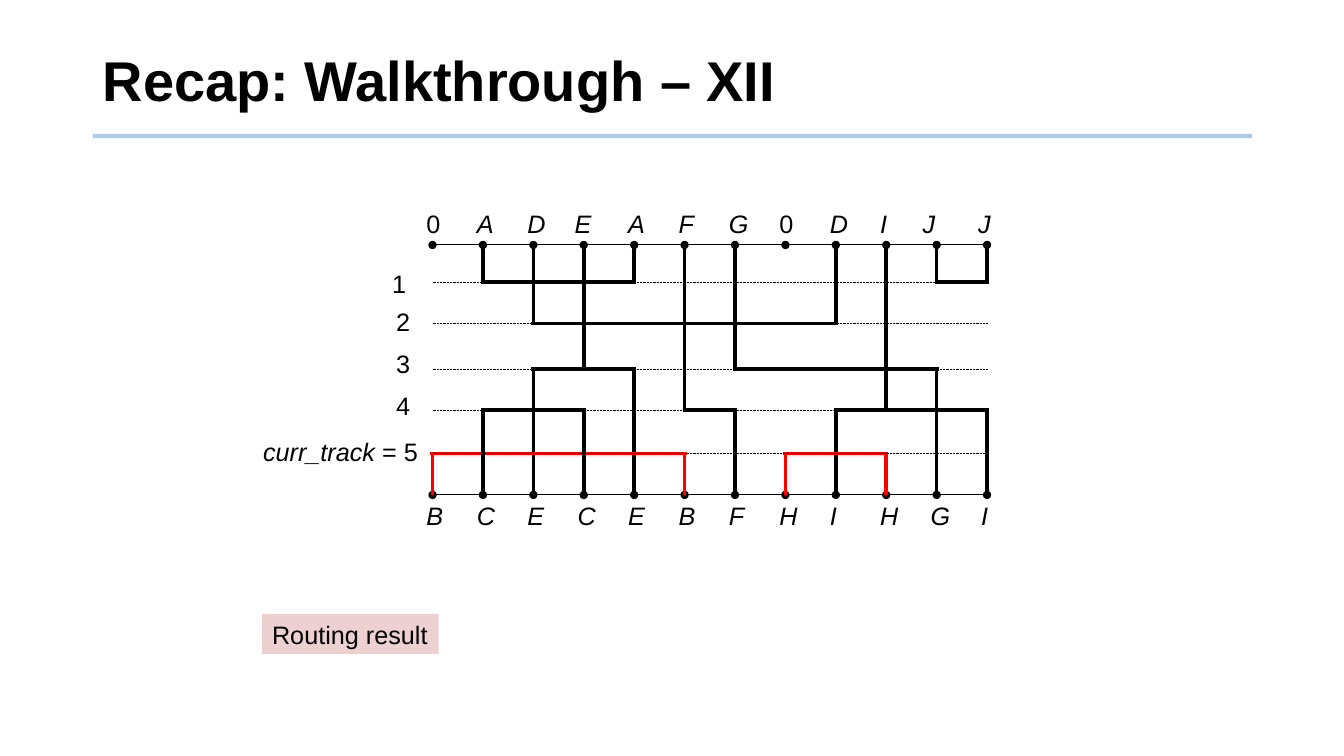
from lxml import etree
from pptx import Presentation
from pptx.dml.color import RGBColor
from pptx.enum.dml import MSO_LINE
from pptx.enum.shapes import MSO_CONNECTOR, MSO_SHAPE
from pptx.enum.text import MSO_ANCHOR, PP_ALIGN
from pptx.oxml.ns import qn
from pptx.util import Inches, Pt

# Content
TITLE = "Recap: Walkthrough – XII"
RESULT = "Routing result"
TOP_PINS = "0ADEAFG0DIJJ"
BOTTOM_PINS = "BCECEBFHIHGI"
NET_TRACKS = {"A": 1, "D": 2, "E": 3, "F": 4, "G": 3, "I": 4, "J": 1,
              "B": 5, "H": 5, "C": 4}
CURRENT_TRACK = 5

# Track number: (line height, label left, label top, label width, label runs)
TRACKS = {
    1: (2.8, 3.78, 2.61, 0.36, [("1", False)]),
    2: (3.21, 3.82, 2.99, 0.36, [("2", False)]),
    3: (3.66, 3.82, 3.41, 0.36, [("3", False)]),
    4: (4.07, 3.82, 3.82, 0.36, [("4", False)]),
    5: (4.5, 2.5, 4.28, 1.76, [("curr_track", True), (" = 5", False)]),
}

# Channel geometry in inches
FIRST_X, PITCH = 4.29, 0.5
TOP_Y, BOTTOM_Y = 2.43, 4.91
OVERLAP = 0.02
TOP_NUDGES = {3: -0.03, 10: -0.08, 11: -0.03}

BLACK, RED, BLUE, PINK = "000000", "FF0000", "5B9BD5", "EDD1D1"

prs = Presentation()
prs.slide_width, prs.slide_height = Inches(13.33), Inches(7.5)
slide = prs.slides.add_slide(prs.slide_layouts[6])


def colour(hex_code):
    return RGBColor.from_string(hex_code)


def column_x(column):
    return FIRST_X + PITCH * column


def write(holder, runs, size=18, bold=False, wrap=True, inset=0.11,
          align=PP_ALIGN.LEFT, anchor=MSO_ANCHOR.TOP, spacing=None):
    """Fill a shape with one paragraph of (words, italic) runs."""
    frame = holder.text_frame
    frame.word_wrap = wrap
    frame.vertical_anchor = anchor
    frame.margin_left = frame.margin_right = Inches(inset)
    frame.margin_top = frame.margin_bottom = Inches(0.05)
    paragraph = frame.paragraphs[0]
    paragraph.alignment = align
    if spacing:
        paragraph.line_spacing = spacing
    for words, italic in runs:
        run = paragraph.add_run()
        run.text = words
        font = run.font
        font.name, font.size = "Arial", Pt(size)
        font.bold, font.italic = bold, italic
        font.color.rgb = colour(BLACK)


def text_box(left, top, width, height, runs, **text_format):
    box = slide.shapes.add_textbox(*map(Inches, (left, top, width, height)))
    write(box, runs, **text_format)


def line(x1, y1, x2, y2, width=2.5, ink=BLACK, dash=None, ends=(), alpha=None):
    wire = slide.shapes.add_connector(
        MSO_CONNECTOR.STRAIGHT, *map(Inches, (x1, y1, x2, y2)))
    wire.line.width = Pt(width)
    wire.line.color.rgb = colour(ink)
    if dash:
        wire.line.dash_style = dash
    properties = wire.element.spPr
    outline = properties.find(qn("a:ln"))
    for end in ends:
        etree.SubElement(outline, qn(f"a:{end}"), type="oval")
    if alpha:
        ink_element = outline.find(".//" + qn("a:srgbClr"))
        etree.SubElement(ink_element, qn("a:alpha"), val=str(alpha * 1000))
    etree.SubElement(properties, qn("a:effectLst"))


def pin_row(pins, rail_y, label_y, nudges):
    """Draw one edge of the channel: dotted rail and pin letters."""
    for column in range(len(pins) - 1):
        ends = ("tailEnd",) if column else ("headEnd", "tailEnd")
        line(column_x(column), rail_y, column_x(column + 1), rail_y,
             width=0.75, ends=ends)
    for column, pin in enumerate(pins):
        left = column_x(column) - 0.17 + nudges.get(column, 0)
        text_box(left, label_y, 0.42, 0.41, [(pin, pin != "0")])


# Title and rule
line(0.92, 1.35, 12.42, 1.35, width=3, ink=BLUE, alpha=50)
text_box(0.92, 0.28, 11.5, 1.1, [(TITLE, False)], size=40, bold=True,
         inset=0.1, anchor=MSO_ANCHOR.MIDDLE, spacing=0.9)

# Bottom pins
pin_row(BOTTOM_PINS, BOTTOM_Y, BOTTOM_Y, {})

# Nets: a stub from each pin to the track, then the trunk along it
for net, track in NET_TRACKS.items():
    trunk_y = TRACKS[track][0]
    ink = RED if track == CURRENT_TRACK else BLACK
    net_columns = []
    for pins, pin_y in ((TOP_PINS, TOP_Y - OVERLAP), (BOTTOM_PINS, BOTTOM_Y)):
        for column, pin in enumerate(pins):
            if pin == net:
                x = column_x(column)
                line(x, pin_y, x, trunk_y, ink=ink)
                net_columns.append(column)
    line(column_x(min(net_columns)) - OVERLAP, trunk_y,
         column_x(max(net_columns)) + OVERLAP, trunk_y, ink=ink)

# Track lines and their labels
for track_y, left, top, width, label in TRACKS.values():
    line(FIRST_X, track_y, column_x(len(TOP_PINS) - 1), track_y,
         width=0.5, dash=MSO_LINE.ROUND_DOT)
    text_box(left, top, width, 0.41, label, wrap=False)

# Result tag
tag = slide.shapes.add_shape(
    MSO_SHAPE.RECTANGLE, *map(Inches, (2.6, 6.09, 1.75, 0.4)))
tag.shadow.inherit = False
tag.fill.solid()
tag.fill.fore_color.rgb = colour(PINK)
tag.line.fill.background()
write(tag, [(RESULT, False)], wrap=False, inset=0.1)

# Top pins
pin_row(TOP_PINS, TOP_Y, 2.02, TOP_NUDGES)

prs.save("out.pptx")
